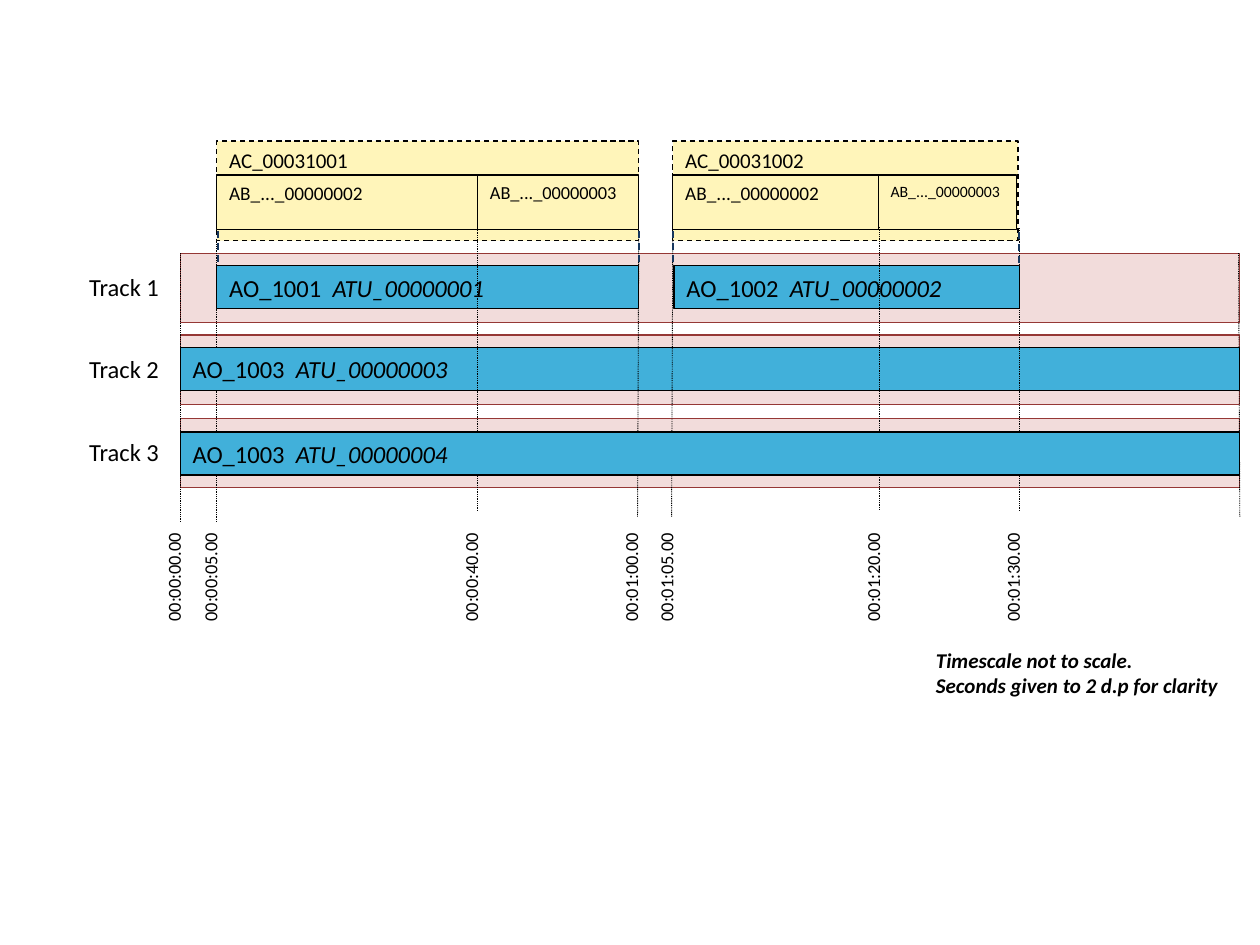
from pptx import Presentation
from pptx import util as u
from pptx.dml.color import RGBColor
from pptx.enum import dml, shapes, text
from pptx.oxml.ns import qn
from lxml import etree

THEME = {
    "font": "Calibri",
    "ink": "000000",
    "band": "F2DCDB",
    "band_line": "953735",
    "object": "41B0DA",
    "content": "FFF5BA",
    "link": "17375E",
    "large": 14,
    "medium": 12,
    "block": 11,
    "small": 10.5,
    "tiny": 9,
}
DASH = dml.MSO_LINE.DASH
DOT = dml.MSO_LINE.ROUND_DOT

START, END = 1.43, 9.84
TRACKS = [("Track 1", 2.01, 2.11), ("Track 2", 2.66, 2.76), ("Track 3", 3.32, 3.42)]
FIRST_OBJECT = ("AO_1001", "ATU_00000001", 1.72, 5.07, 2.11)
SECOND_OBJECT = ("AO_1002", "ATU_00000002", 5.35, 8.09, 2.11)
THIRD_OBJECT = ("AO_1003", "ATU_00000003", START, END, 2.76)
FOURTH_OBJECT = ("AO_1003", "ATU_00000004", START, END, 3.43)
CONTENTS = [
    ("AC_00031001", 1.72, 5.07, [
        ("AB_..._00000002", 1.72, 3.79, "block"),
        ("AB_..._00000003", 3.79, 5.07, "small"),
    ]),
    ("AC_00031002", 5.34, 8.08, [
        ("AB_..._00000002", 5.34, 6.98, "block"),
        ("AB_..._00000003", 6.97, 8.07, "tiny"),
    ]),
]
EARLY_GUIDES = [(1.72, 1.91, 1.72, 4.14), (9.83, 2.01, 9.84, 4.1)]
LATE_GUIDES = [
    (1.43, 2.01, 1.43, 4.14),
    (3.79, 1.81, 3.79, 4.06),
    (5.07, 1.84, 5.06, 4.1),
    (5.34, 1.84, 5.33, 4.1),
    (6.98, 1.8, 6.98, 4.05),
    (8.09, 1.81, 8.09, 4.06),
]
TIMES = [
    ("00:00:00.00", 1.43),
    ("00:00:05.00", 1.72),
    ("00:00:40.00", 3.79),
    ("00:01:00.00", 5.06),
    ("00:01:05.00", 5.34),
    ("00:01:20.00", 6.98),
    ("00:01:30.00", 8.09),
]
LINKS = [(1.73, 1.83), (5.07, 1.83), (5.34, 1.83), (8.09, 1.84)]
NOTE = ["Timescale not to scale.", "Seconds given to 2 d.p for clarity"]


def color(name):
    return RGBColor.from_string(THEME[name])


def set_line(line, name, width, dash=None):
    line.color.rgb = color(name)
    line.width = u.Pt(width)
    if dash:
        line.dash_style = dash


def add_runs(paragraph, runs, size):
    paragraph.alignment = text.PP_ALIGN.LEFT
    for content, attributes in runs:
        run = paragraph.add_run()
        run.text = content
        run.font.color.rgb = color("ink")
        formats = {"name": THEME["font"], "size": u.Pt(THEME[size]), **attributes}
        for key, value in formats.items():
            setattr(run.font, key, value)


def add_box(slide, left, right, top, height, fill, line="ink", dash=None,
            runs=(), size="large", anchor=text.MSO_ANCHOR.TOP):
    shape = slide.shapes.add_shape(
        shapes.MSO_SHAPE.RECTANGLE,
        *map(u.Inches, (left, top, right - left, height)))
    shape.shadow.inherit = False
    shape.fill.solid()
    shape.fill.fore_color.rgb = color(fill)
    set_line(shape.line, line, 0.75, dash)
    shape.text_frame.vertical_anchor = anchor
    add_runs(shape.text_frame.paragraphs[0], runs, size)


def add_object(slide, name, track_unit, left, right, top):
    add_box(slide, left, right, top, 0.34, "object",
            runs=[(name + "  ", {}), (track_unit, {"italic": True})],
            anchor=text.MSO_ANCHOR.MIDDLE)


def add_content(slide, name, left, right, blocks):
    add_box(slide, left, right, 1.12, 0.79, "content", dash=DASH,
            runs=[(name, {})], size="medium")
    for label, block_left, block_right, size in blocks:
        add_box(slide, block_left, block_right, 1.39, 0.43, "content",
                runs=[(label, {})], size=size)


def add_label(slide, lines, left, top, width, height, size, vertical=False, **attributes):
    shape = slide.shapes.add_textbox(*map(u.Inches, (left, top, width, height)))
    frame = shape.text_frame
    frame.word_wrap = False
    frame.auto_size = text.MSO_AUTO_SIZE.SHAPE_TO_FIT_TEXT
    if vertical:
        shape.element.find(".//" + qn("a:bodyPr")).set("vert", "vert270")
    for index, content in enumerate(lines):
        paragraph = frame.add_paragraph() if index else frame.paragraphs[0]
        add_runs(paragraph, [(content, attributes)], size)


def add_line(slide, points, name, width, dash):
    connector = slide.shapes.add_connector(
        shapes.MSO_CONNECTOR.STRAIGHT, *map(u.Inches, points))
    set_line(connector.line, name, width, dash)
    etree.SubElement(connector.element.spPr, qn("a:effectLst"))


def add_guides(slide, guides):
    for points in guides:
        add_line(slide, points, "ink", 0.5, DOT)


def main():
    presentation = Presentation()
    presentation.slide_width = u.Inches(10)
    presentation.slide_height = u.Inches(7.5)
    slide = presentation.slides.add_slide(presentation.slide_layouts[6])

    for label, band_top, label_top in TRACKS:
        add_box(slide, START, END, band_top, 0.55, "band", "band_line")
        add_label(slide, [label], 0.61, label_top, 0.76, 0.34, "large")
    add_object(slide, *FIRST_OBJECT)
    add_content(slide, *CONTENTS[0])
    add_guides(slide, EARLY_GUIDES)
    add_label(slide, NOTE, 7.33, 5.09, 2.51, 0.5, "medium", bold=True, italic=True)
    add_object(slide, *SECOND_OBJECT)
    add_object(slide, *THIRD_OBJECT)
    add_content(slide, *CONTENTS[1])
    add_guides(slide, LATE_GUIDES)
    add_object(slide, *FOURTH_OBJECT)
    for label, center in TIMES:
        add_label(slide, [label], center - 0.19, 4.21, 0.38, 0.82, "small", vertical=True)
    for x, top in LINKS:
        add_line(slide, (x, top, x, top + 0.28), "link", 1, DASH)

    presentation.save("out.pptx")


if __name__ == "__main__":
    main()
